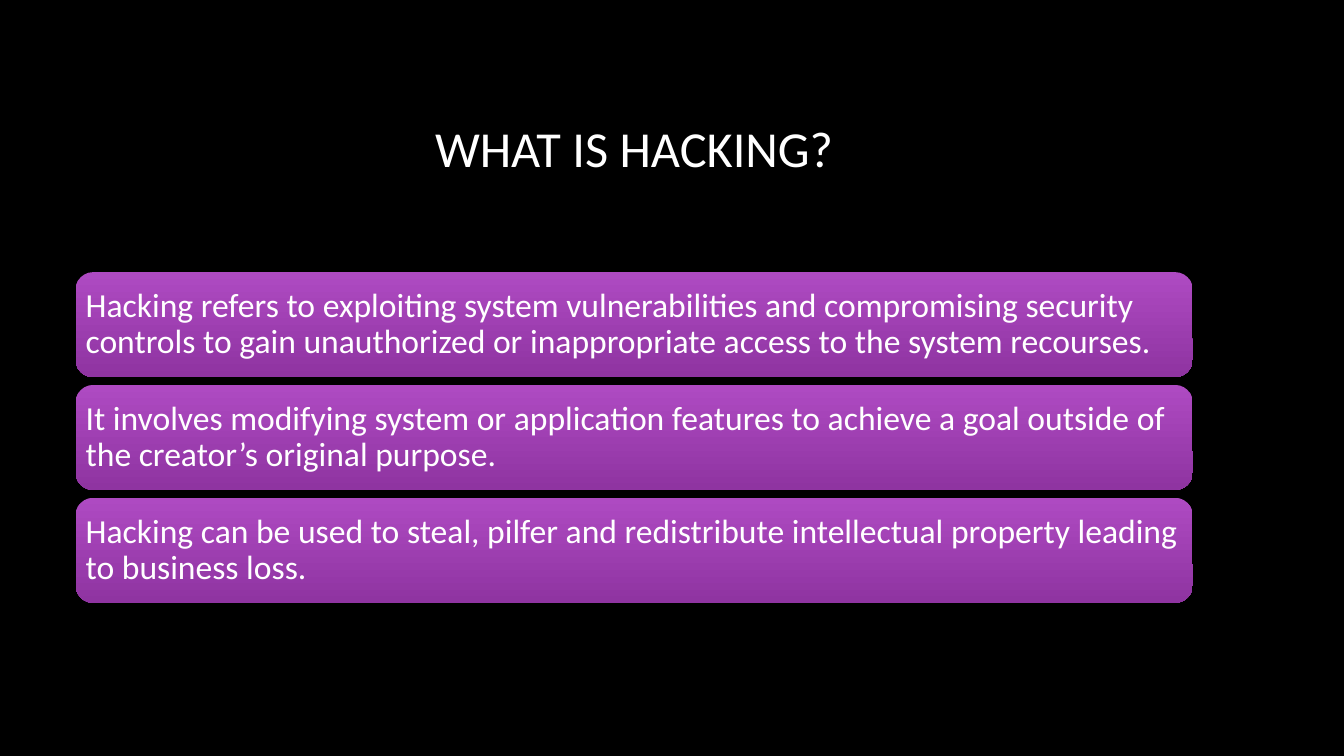
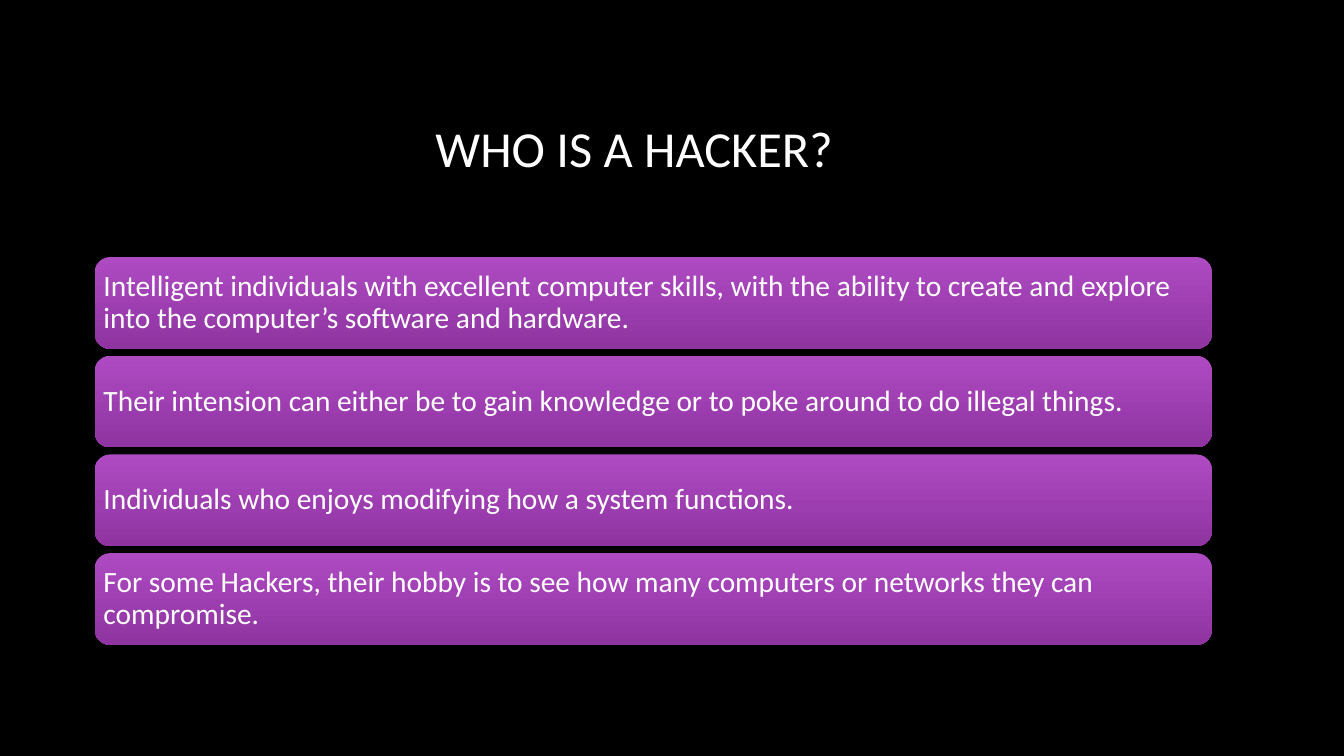
from dataclasses import dataclass

from pptx import Presentation
from pptx.dml.color import RGBColor
from pptx.enum.shapes import MSO_SHAPE as Preset
from pptx.enum.text import MSO_ANCHOR as Anchor, MSO_AUTO_SIZE as AutoSize, PP_ALIGN as Align
from pptx.slide import Slide
from pptx.text.text import _Paragraph as Paragraph
from pptx.util import Pt

FONT = "Calibri"
BLACK, WHITE = "000000", "FFFFFF"
BAR_GRADIENT = ("AE4AC2", "8F34A1")
CONTENT_WIDTH = 798
CORNER_RATIO = 0.16667
CORNER_TEXT_INSET = 0.29289  # share of the corner radius kept free of text


@dataclass(frozen=True)
class BarSlide:
    title: str
    left: float
    top: float
    bar_height: float
    gap: float
    padding: float
    font_size: float
    statements: tuple[str, ...]


SLIDES = (
    BarSlide(
        "WHAT IS HACKING?", 54, 194.4, 75, 5.6, 7.2, 24,
        (
            "Hacking refers to exploiting system vulnerabilities and compromising security "
            "controls to gain unauthorized or inappropriate access to the system recourses.",
            "It involves modifying system or application features to achieve a goal outside of "
            "the creator’s original purpose.",
            "Hacking can be used to steal, pilfer and redistribute intellectual property leading "
            "to business loss.",
        ),
    ),
    BarSlide(
        "WHO IS A HACKER?", 67.7, 183.6, 65.5, 5, 6.3, 21,
        (
            "Intelligent individuals with excellent computer skills, with the ability to create "
            "and explore into the computer’s software and hardware.",
            "Their intension can either be to gain knowledge or to poke around to do illegal things.",
            "Individuals who enjoys modifying how a system functions.",
            "For some Hackers, their hobby is to see how many computers or networks they can "
            "compromise.",
        ),
    ),
)


def color(hex_value: str) -> RGBColor:
    return RGBColor.from_string(hex_value)


def add_text(paragraph: Paragraph, text: str, size: float) -> None:
    run = paragraph.add_run()
    run.text = text
    run.font.name = FONT
    run.font.size = Pt(size)
    run.font.color.rgb = color(WHITE)


def add_title(slide: Slide, text: str) -> None:
    title = slide.shapes.title
    title.left, title.top = Pt(54), Pt(48.2)
    title.width, title.height = Pt(CONTENT_WIDTH), Pt(114.5)
    frame = title.text_frame
    frame.auto_size = AutoSize.NONE
    frame.vertical_anchor = Anchor.MIDDLE
    paragraph = frame.paragraphs[0]
    paragraph.alignment = Align.CENTER
    add_text(paragraph, text, 36)


def add_bar(slide: Slide, content: BarSlide, top: float, statement: str) -> None:
    bar = slide.shapes.add_shape(
        Preset.ROUNDED_RECTANGLE,
        Pt(content.left), Pt(top), Pt(CONTENT_WIDTH), Pt(content.bar_height),
    )
    bar.adjustments[0] = CORNER_RATIO
    bar.shadow.inherit = False
    bar.line.fill.background()

    # Vertical gradient, light at the top
    bar.fill.gradient()
    bar.fill.gradient_angle = 270
    for position, (stop, hex_value) in enumerate(zip(bar.fill.gradient_stops, BAR_GRADIENT)):
        stop.position = position
        stop.color.rgb = color(hex_value)

    # Padding measured from the bar's edge
    frame = bar.text_frame
    frame.word_wrap = True
    frame.vertical_anchor = Anchor.MIDDLE
    inset = Pt(content.padding - content.bar_height * CORNER_RATIO * CORNER_TEXT_INSET)
    frame.margin_left = frame.margin_right = inset
    frame.margin_top = frame.margin_bottom = inset
    paragraph = frame.paragraphs[0]
    paragraph.alignment = Align.LEFT
    paragraph.line_spacing = 0.9
    add_text(paragraph, statement, content.font_size)


def main() -> None:
    presentation = Presentation()
    presentation.slide_width, presentation.slide_height = Pt(960), Pt(540)

    # Shared background
    background = presentation.slide_master.background.fill
    background.solid()
    background.fore_color.rgb = color(BLACK)

    title_only = presentation.slide_layouts.get_by_name("Title Only")
    for content in SLIDES:
        slide = presentation.slides.add_slide(title_only)
        add_title(slide, content.title)
        for index, statement in enumerate(content.statements):
            top = content.top + index * (content.bar_height + content.gap)
            add_bar(slide, content, top, statement)

    presentation.save("out.pptx")


if __name__ == "__main__":
    main()
